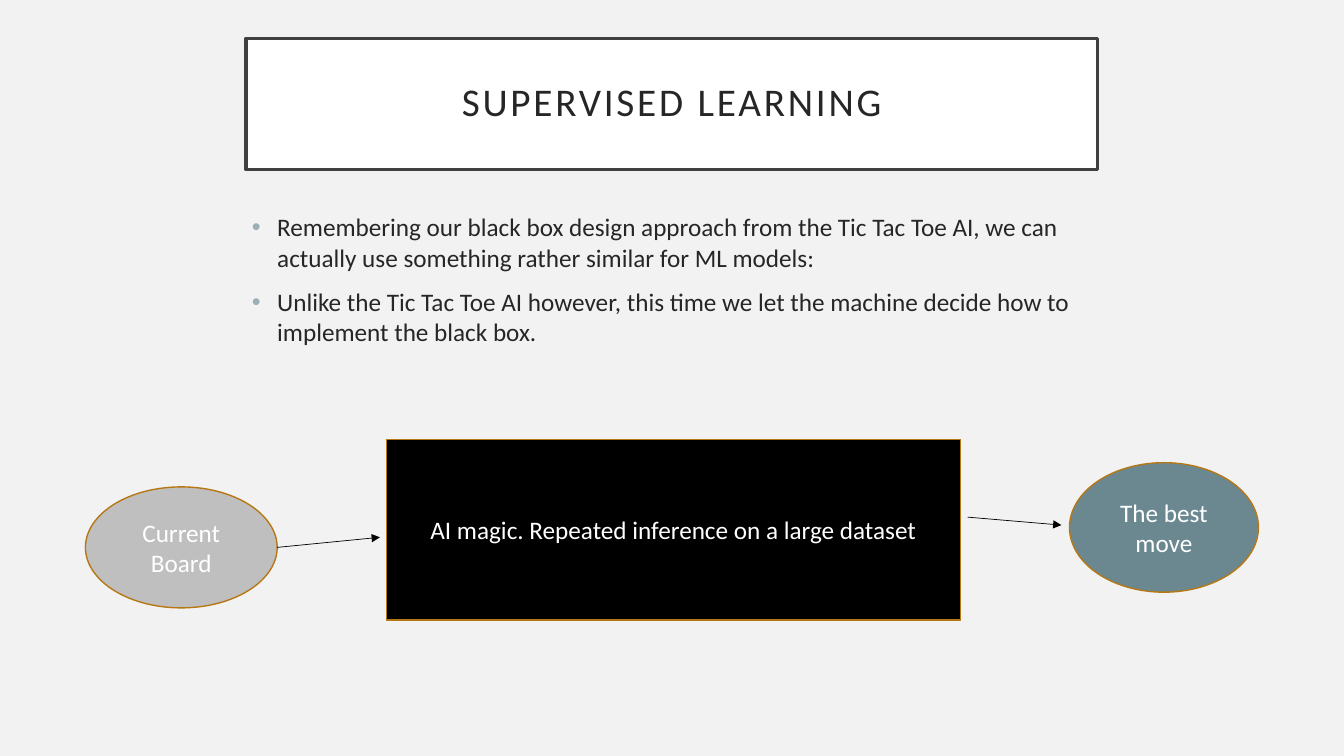
from lxml.etree import SubElement
from pptx import Presentation
from pptx.dml.color import RGBColor
from pptx.enum.shapes import MSO_CONNECTOR, MSO_SHAPE
from pptx.enum.text import MSO_ANCHOR, MSO_AUTO_SIZE, PP_ALIGN
from pptx.oxml.ns import qn
from pptx.util import Pt

FONT = "Calibri"
INK = "262626"
WHITE = "FFFFFF"
ORANGE = "B67815"
BULLET = "9BAFB5"


def color(hex_code):
    return RGBColor.from_string(hex_code)


def place(shape, left, top, width, height):
    shape.left, shape.top = Pt(left), Pt(top)
    shape.width, shape.height = Pt(width), Pt(height)


def paint(shape, fill, line, weight):
    shape.fill.solid()
    shape.fill.fore_color.rgb = color(fill)
    shape.line.color.rgb = color(line)
    shape.line.width = Pt(weight)


def add_bullet(para):
    """Give the paragraph a hanging coloured bullet."""
    properties = para._p.get_or_add_pPr()
    properties.set("marL", str(Pt(18)))
    properties.set("indent", str(-Pt(18)))
    bullet_color = SubElement(properties, qn("a:buClr"))
    SubElement(bullet_color, qn("a:srgbClr"), val=BULLET)
    SubElement(properties, qn("a:buChar"), char="•")


def write(para, text, size=18, ink=INK, align=PP_ALIGN.LEFT, before=0,
          line_spacing=1.0, letter_spacing=0, bullet=False):
    if bullet:
        add_bullet(para)
    para.alignment = align
    para.space_before = Pt(before)
    para.line_spacing = line_spacing
    span = para.add_run()
    span.text = text
    span.font.name = FONT
    span.font.size = Pt(size)
    span.font.bold = False
    span.font.color.rgb = color(ink)
    if letter_spacing:
        span.font._element.set("spc", str(letter_spacing * 100))


def fill_title(title, text):
    place(title, 175.7, 27.4, 608.4, 93.6)
    paint(title, WHITE, "404040", 2.5)
    frame = title.text_frame
    frame.auto_size = MSO_AUTO_SIZE.NONE
    frame.vertical_anchor = MSO_ANCHOR.MIDDLE
    frame.margin_left = frame.margin_right = Pt(14.4)
    frame.margin_top = frame.margin_bottom = Pt(14.4)
    write(frame.paragraphs[0], text, size=28, align=PP_ALIGN.CENTER,
          line_spacing=0.9, letter_spacing=2)


def fill_body(body, items):
    place(body, 172.8, 147.6, 608.4, 244)
    frame = body.text_frame
    frame.auto_size = MSO_AUTO_SIZE.NONE
    for index, item in enumerate(items):
        para = frame.add_paragraph() if index else frame.paragraphs[0]
        write(para, item, before=10 if index else 0, bullet=True)


def add_node(page, kind, text, fill, left, top, width, height):
    node = page.shapes.add_shape(kind, Pt(left), Pt(top), Pt(width), Pt(height))
    node.shadow.inherit = False
    paint(node, fill, ORANGE, 1)
    frame = node.text_frame
    frame.word_wrap = True
    frame.vertical_anchor = MSO_ANCHOR.MIDDLE
    write(frame.paragraphs[0], text, ink=WHITE, align=PP_ALIGN.CENTER)


def add_arrow(page, start, end):
    arrow = page.shapes.add_connector(
        MSO_CONNECTOR.STRAIGHT, *map(Pt, start), *map(Pt, end))
    arrow.line.color.rgb = color("000000")
    arrow.line.width = Pt(0.5)
    SubElement(arrow.line._get_or_add_ln(), qn("a:tailEnd"), type="triangle")
    SubElement(arrow._element.spPr, qn("a:effectLst"))


def main():
    deck = Presentation()
    deck.slide_width, deck.slide_height = Pt(960), Pt(540)
    page = deck.slides.add_slide(deck.slide_layouts[1])
    page.background.fill.solid()
    page.background.fill.fore_color.rgb = color("F2F2F2")

    fill_title(page.shapes.title, "SUPERVISED LEARNING")
    fill_body(page.placeholders[1], [
        "Remembering our black box design approach from the Tic Tac Toe AI, "
        "we can actually use something rather similar for ML models:",
        "Unlike the Tic Tac Toe AI however, this time we let the machine "
        "decide how to implement the black box.",
    ])

    add_node(page, MSO_SHAPE.RECTANGLE,
             "AI magic. Repeated inference on a large dataset",
             "000000", 276, 314, 410, 129)
    add_node(page, MSO_SHAPE.OVAL, "Current Board", "BFBFBF",
             61, 347.8, 137, 86.4)
    add_arrow(page, (198, 391), (271.4, 383.8))
    add_arrow(page, (691.2, 369.4), (758.2, 375.1))
    add_node(page, MSO_SHAPE.OVAL, "The best move", "6B8891",
             763.9, 330.5, 135, 92.5)

    deck.save("out.pptx")


if __name__ == "__main__":
    main()
